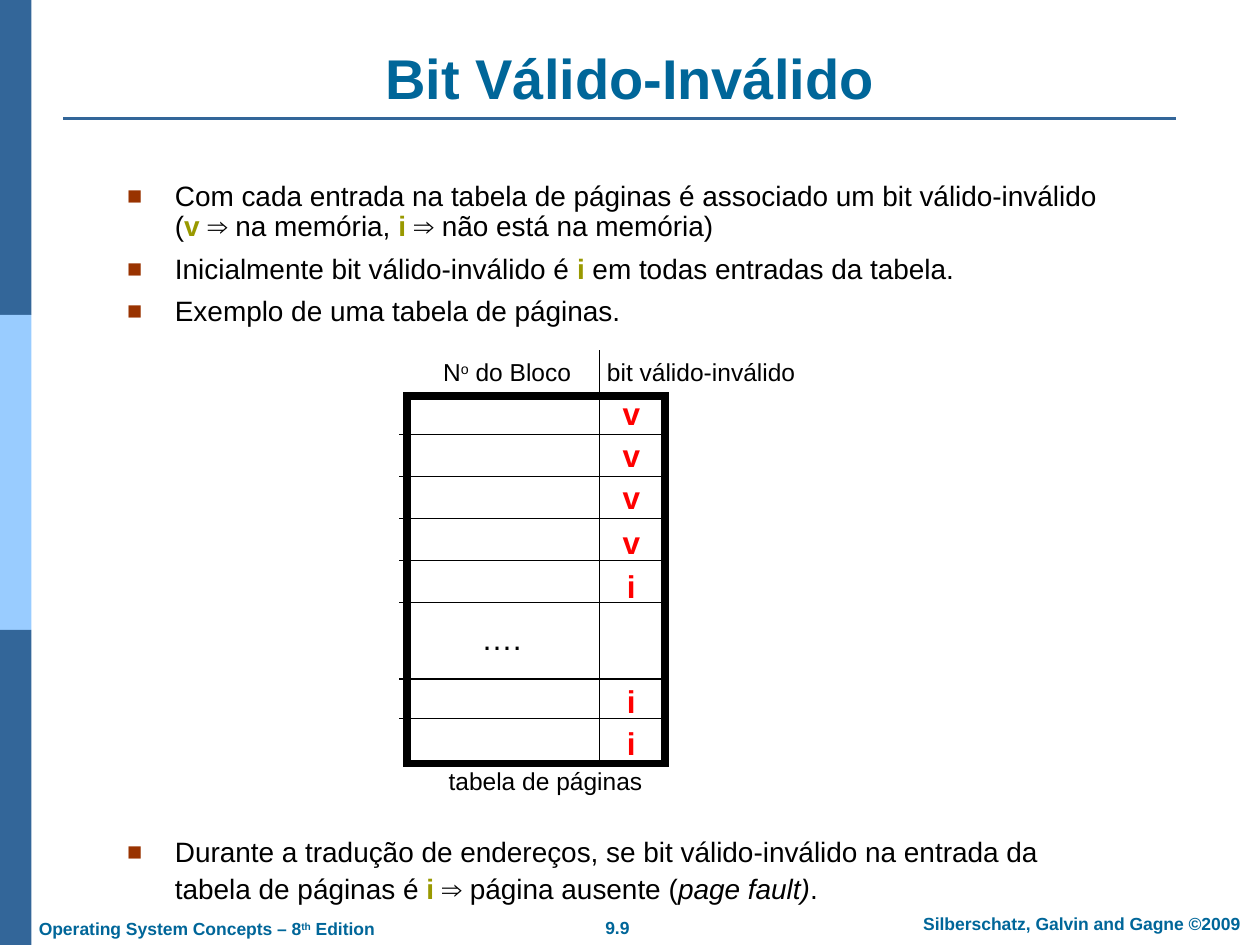
from dataclasses import dataclass

import lxml.etree
import pptx
import pptx.dml.color
import pptx.enum.shapes
import pptx.enum.text
import pptx.oxml.ns
import pptx.util

Inches = pptx.util.Inches
Pt = pptx.util.Pt
qn = pptx.oxml.ns.qn
ALIGN = pptx.enum.text.PP_ALIGN
ANCHOR = pptx.enum.text.MSO_ANCHOR


@dataclass(frozen=True)
class Theme:
    font: str = "Arial"
    bar: str = "336699"
    bar_light: str = "99CCFF"
    heading: str = "006699"
    text: str = "000000"
    paper: str = "FFFFFF"
    bullet: str = "993300"
    keyword: str = "999900"
    mark: str = "FF0000"
    title_size: float = 32
    body_size: float = 16
    mark_size: float = 18
    label_size: float = 14
    footer_size: float = 10


THEME = Theme()


@dataclass(frozen=True)
class Run:
    text: str
    color: str = THEME.text
    bold: bool = False
    italic: bool = False
    raised: bool = False


@dataclass(frozen=True)
class Box:
    left: float
    top: float
    width: float
    height: float


@dataclass(frozen=True)
class Label:
    box: Box
    runs: list[Run]
    size: float
    align: ALIGN = ALIGN.CENTER
    anchor: ANCHOR = ANCHOR.MIDDLE
    wrap: bool = False


@dataclass(frozen=True)
class BulletList:
    box: Box
    items: list[list[Run]]
    line_spacing: float


def rgb(color: str) -> pptx.dml.color.RGBColor:
    return pptx.dml.color.RGBColor.from_string(color)


def add_rect(s, box: Box, fill: str, line: str | None = None, weight: float = 0) -> None:
    sp = s.shapes.add_shape(
        pptx.enum.shapes.MSO_SHAPE.RECTANGLE,
        Inches(box.left), Inches(box.top), Inches(box.width), Inches(box.height))
    sp.shadow.inherit = False
    sp.fill.solid()
    sp.fill.fore_color.rgb = rgb(fill)
    if line:
        sp.line.color.rgb = rgb(line)
        sp.line.width = Pt(weight)
        lxml.etree.SubElement(sp._element.spPr.find(qn("a:ln")), qn("a:miter"), lim="800000")
    else:
        sp.line.fill.background()


def add_line(s, x1: float, y1: float, x2: float, y2: float, color: str, weight: float) -> None:
    cxn = s.shapes.add_connector(
        pptx.enum.shapes.MSO_CONNECTOR.STRAIGHT,
        Inches(x1), Inches(y1), Inches(x2), Inches(y2))
    cxn.line.color.rgb = rgb(color)
    cxn.line.width = Pt(weight)
    lxml.etree.SubElement(cxn._element.spPr, qn("a:effectLst"))


def add_frame(s, box: Box, wrap: bool, anchor: ANCHOR):
    tf = s.shapes.add_textbox(
        Inches(box.left), Inches(box.top), Inches(box.width), Inches(box.height)).text_frame
    tf.word_wrap = wrap
    tf.vertical_anchor = anchor
    return tf


def add_runs(p, runs: list[Run], size: float) -> None:
    for run in runs:
        r = p.add_run()
        r.text = run.text
        r.font.name = THEME.font
        r.font.size = Pt(size)
        r.font.color.rgb = rgb(run.color)
        r.font.bold = run.bold
        r.font.italic = run.italic
        if run.raised:
            r.font._element.set("baseline", "30000")


def add_label(s, label: Label) -> None:
    p = add_frame(s, label.box, label.wrap, label.anchor).paragraphs[0]
    p.alignment = label.align
    add_runs(p, label.runs, label.size)


def set_bullet(p) -> None:
    pPr = p._p.get_or_add_pPr()
    pPr.set("marL", str(Inches(0.38)))
    pPr.set("indent", str(-Inches(0.38)))
    color = lxml.etree.SubElement(pPr, qn("a:buClr"))
    lxml.etree.SubElement(color, qn("a:srgbClr"), val=THEME.bullet)
    lxml.etree.SubElement(pPr, qn("a:buSzPct"), val="90000")
    lxml.etree.SubElement(pPr, qn("a:buFont"), typeface=THEME.font)
    lxml.etree.SubElement(pPr, qn("a:buChar"), char="■")


def add_bullets(s, bullets: BulletList) -> None:
    tf = add_frame(s, bullets.box, True, ANCHOR.TOP)
    for i, runs in enumerate(bullets.items):
        p = tf.add_paragraph() if i else tf.paragraphs[0]
        p.line_spacing = bullets.line_spacing
        p.space_before = Pt(7 if i else 0)
        set_bullet(p)
        add_runs(p, runs, THEME.body_size)


def heading(text: str, raised: bool = False) -> Run:
    return Run(text, THEME.heading, bold=True, raised=raised)


def keyword(text: str) -> Run:
    return Run(text, THEME.keyword, bold=True)


BULLETS = [
    BulletList(Box(0.91, 1.4, 7.92, 1.3), [
        [Run("Com cada entrada na tabela de páginas é associado um bit válido-inválido ("),
         keyword("v "), Run("⇒ na memória, "), keyword("i "), Run("⇒ não está na memória)")],
        [Run("Inicialmente bit válido-inválido é "), keyword("i"),
         Run(" em todas entradas da tabela.")],
        [Run("Exemplo de uma tabela de páginas.")],
    ], 0.9),
    BulletList(Box(0.91, 6.55, 7.92, 0.67), [
        [Run("Durante a tradução de endereços, se bit válido-inválido na entrada da "
             "tabela de páginas é "), keyword("i "), Run("⇒ página ausente ("),
         Run("page fault)", italic=True), Run(".")],
    ], 1.1),
]

LABELS = [
    Label(Box(0.5, 0.3, 9, 0.63), [heading("Bit Válido-Inválido")],
          THEME.title_size, anchor=ANCHOR.BOTTOM, wrap=True),
    Label(Box(4.41, 7.23, 0.98, 0.27), [heading("9.9")], THEME.footer_size, anchor=ANCHOR.TOP),
    Label(Box(7.1, 7.2, 2.97, 0.27), [heading("Silberschatz, Galvin and Gagne ©2009")],
          THEME.footer_size, anchor=ANCHOR.TOP, wrap=True),
    Label(Box(0.21, 7.24, 3.1, 0.27),
          [heading("Operating System Concepts – 8"), heading("th", True), heading(" Edition")],
          THEME.footer_size, ALIGN.LEFT, ANCHOR.TOP, wrap=True),
    Label(Box(3.72, 4.86, 0.52, 0.4), [Run("….")], THEME.mark_size),
    Label(Box(3.37, 2.78, 1.31, 0.34),
          [Run("N"), Run("o", raised=True), Run(" do Bloco")], THEME.label_size, wrap=True),
    Label(Box(4.67, 2.78, 1.79, 0.34), [Run("bit válido-inválido")],
          THEME.label_size, wrap=True),
    Label(Box(3.41, 6.03, 1.84, 0.34), [Run("tabela de páginas")],
          THEME.label_size, wrap=True),
]

ROW_LINES = [3.45 + i / 3 for i in range(5)] + [5.39, 5.7]
MARKS = zip("vvvviii", [3.08, 3.41, 3.74, 4.1, 4.45, 5.36, 5.7])


def main() -> None:
    prs = pptx.Presentation()
    prs.slide_width, prs.slide_height = Inches(10), Inches(7.5)
    s = prs.slides.add_slide(prs.slide_layouts[6])

    for i, color in enumerate([THEME.bar, THEME.bar_light, THEME.bar]):
        add_rect(s, Box(0, 2.5 * i, 0.25, 2.5), color)
    add_line(s, 0.5, 0.94, 9.33, 0.94, THEME.bar, 1.5)

    for bullets in BULLETS:
        add_bullets(s, bullets)

    add_rect(s, Box(3.23, 3.14, 2.05, 2.92), THEME.paper, THEME.text, 4.5)
    for y in ROW_LINES:
        add_line(s, 3.17, y, 5.26, y, THEME.text, 0.75)
    add_line(s, 4.76, 2.78, 4.76, 6.03, THEME.text, 0.75)
    for bit, top in MARKS:
        add_label(s, Label(Box(4.84, top, 0.34, 0.4),
                           [Run(bit, THEME.mark, bold=True)], THEME.mark_size))
    for label in LABELS:
        add_label(s, label)

    prs.save("out.pptx")


if __name__ == "__main__":
    main()
